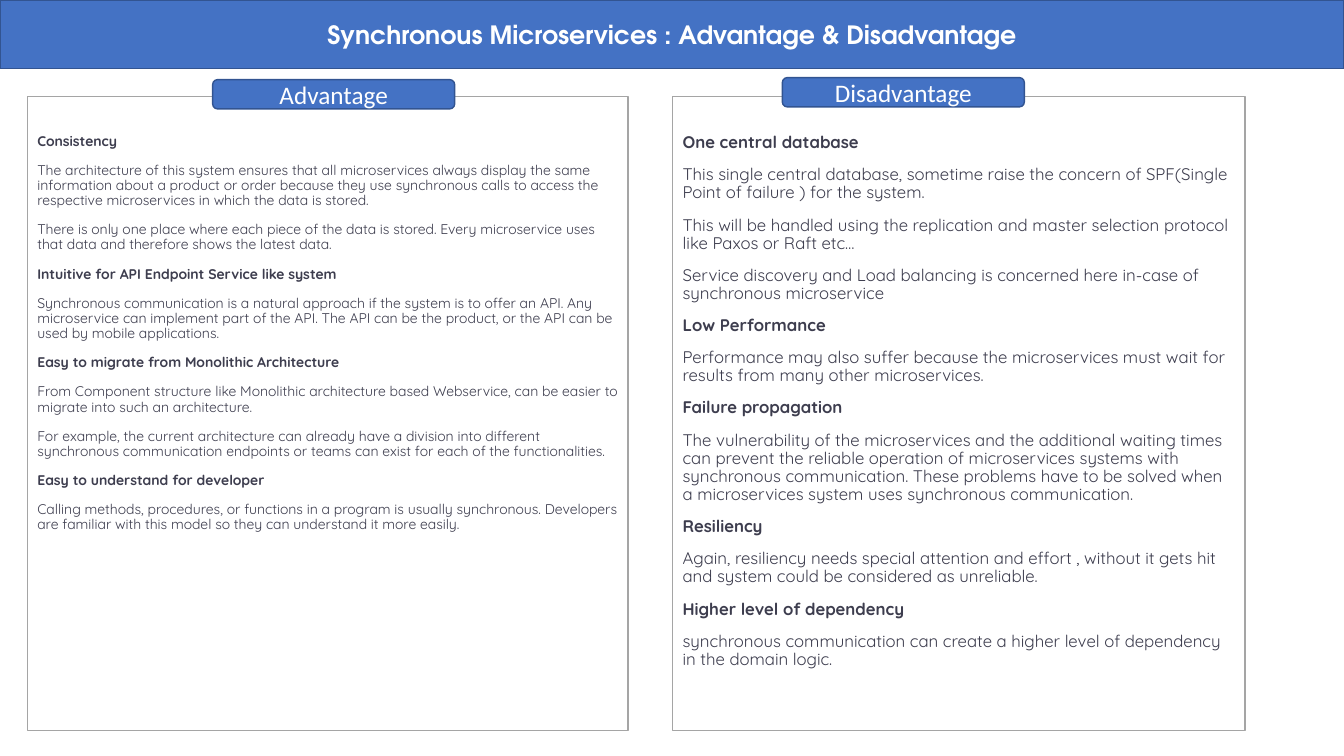
import pptx
import pptx.util
import pptx.dml.color
import pptx.enum.shapes
import pptx.enum.text
from lxml import etree

Inches, Pt = pptx.util.Inches, pptx.util.Pt
PP_ALIGN = pptx.enum.text.PP_ALIGN
ANCHOR = pptx.enum.text.MSO_ANCHOR

# Content: each panel holds (heading, paragraphs) pairs
TITLE = "Synchronous Microservices : Advantage & Disadvantage"
ADVANTAGES = [
    ("Consistency", [
        "The architecture of this system ensures that all microservices always display the same "
        "information about a product or order because they use synchronous calls to access the "
        "respective microservices in which the data is stored.",
        "There is only one place where each piece of the data is stored. Every microservice uses "
        "that data and therefore shows the latest data."]),
    ("Intuitive for API Endpoint Service like system", [
        "Synchronous communication is a natural approach if the system is to offer an API. Any "
        "microservice can implement part of the API. The API can be the product, or the API can "
        "be used by mobile applications."]),
    ("Easy to migrate from Monolithic Architecture", [
        "From Component structure like Monolithic architecture based Webservice, can be easier "
        "to migrate into such an architecture.",
        "For example, the current architecture can already have a division into different "
        "synchronous communication endpoints or teams can exist for each of the functionalities."]),
    ("Easy to understand for developer", [
        "Calling methods, procedures, or functions in a program is usually synchronous. "
        "Developers are familiar with this model so they can understand it more easily."]),
]
DISADVANTAGES = [
    ("One central database", [
        "This single central database, sometime raise the concern of SPF(Single Point of "
        "failure ) for the system.",
        "This will be handled using the replication and master selection protocol like Paxos or "
        "Raft etc…",
        "Service discovery and Load balancing is concerned here in-case of synchronous "
        "microservice"]),
    ("Low Performance", [
        "Performance may also suffer because the microservices must wait for results from many "
        "other microservices."]),
    ("Failure propagation", [
        "The vulnerability of the microservices and the additional waiting times can prevent the "
        "reliable operation of microservices systems with synchronous communication. These "
        "problems have to be solved when a microservices system uses synchronous communication."]),
    ("Resiliency", [
        "Again, resiliency needs special attention and effort , without it gets hit and system "
        "could be considered as unreliable."]),
    ("Higher level of dependency", [
        "synchronous communication can create a higher level of dependency in the domain logic."]),
]
# Label, sections, text size, panel left and width, tab left and top
PANELS = [
    ("Advantage", ADVANTAGES, 10, 0.27, 5.96, 2.11, 0.79),
    ("Disadvantage", DISADVANTAGES, 12, 6.67, 5.68, 7.76, 0.77),
]
PANEL_TOP, PANEL_H = 0.96, 6.29
TAB_W, TAB_H = 2.4, 0.29
BLUE, EDGE, WHITE, GREY, INK = "4472C4", "325491", "FFFFFF", "A5A5A5", "3D3D4E"


def rgb(value):
    return pptx.dml.color.RGBColor.from_string(value)


def place(sp, left, top, width, height, fill, line):
    sp.left, sp.top, sp.width, sp.height = map(Inches, (left, top, width, height))
    sp.fill.solid()
    sp.fill.fore_color.rgb = rgb(fill)
    sp.line.color.rgb = rgb(line)
    sp.line.width = Pt(1)


def style(p, font, size, color, bold=False):
    p.font.name, p.font.size, p.font.bold = font, Pt(size), bold
    p.font.color.rgb = rgb(color)


def write_label(sp, text, font, bold=False):
    tf = sp.text_frame
    tf.text = text
    tf.word_wrap = True
    tf.auto_size = pptx.enum.text.MSO_AUTO_SIZE.NONE
    tf.vertical_anchor = ANCHOR.MIDDLE
    p = tf.paragraphs[0]
    p.alignment = PP_ALIGN.CENTER
    style(p, font, 18, WHITE, bold)


def write_sections(sp, sections, size):
    tf = sp.text_frame
    tf.word_wrap = True
    tf.auto_size = pptx.enum.text.MSO_AUTO_SIZE.NONE
    tf.vertical_anchor = ANCHOR.TOP
    tf.margin_top = Inches(0.37)
    lines = [(text, i == 0) for heading, body in sections
             for i, text in enumerate([heading, *body])]
    tf.text = "\n".join(text for text, _ in lines)
    for p, (_, bold) in zip(tf.paragraphs, lines):
        p.alignment = PP_ALIGN.LEFT
        p.line_spacing, p.space_before, p.space_after = 0.9, Pt(10), Pt(0)
        style(p, "Quicksand", size, INK, bold)
        # No bullet, no indent
        pPr = p._p.get_or_add_pPr()
        pPr.set("marL", "0")
        pPr.set("indent", "0")
        bullet = etree.Element(pptx.oxml.ns.qn("a:buNone"))
        pPr.find(pptx.oxml.ns.qn("a:spcAft")).addnext(bullet)


prs = pptx.Presentation()
prs.slide_width, prs.slide_height = Inches(13.33), Inches(7.5)
s = prs.slides.add_slide(prs.slide_layouts.get_by_name("Two Content"))
title, *bodies = s.placeholders

# Title band
place(title, 0, 0, 13.33, 0.68, BLUE, EDGE)
write_label(title, TITLE, "TeX Gyre Adventor", bold=True)

# Panels with a tab on the top edge
for body, (label, sections, size, left, width, tab_left, tab_top) in zip(bodies, PANELS):
    place(body, left, PANEL_TOP, width, PANEL_H, WHITE, GREY)
    write_sections(body, sections, size)
    tab = s.shapes.add_shape(pptx.enum.shapes.MSO_SHAPE.ROUNDED_RECTANGLE, 0, 0, 0, 0)
    tab.shadow.inherit = False
    place(tab, tab_left, tab_top, TAB_W, TAB_H, BLUE, EDGE)
    write_label(tab, label, "Calibri")

prs.save("out.pptx")
